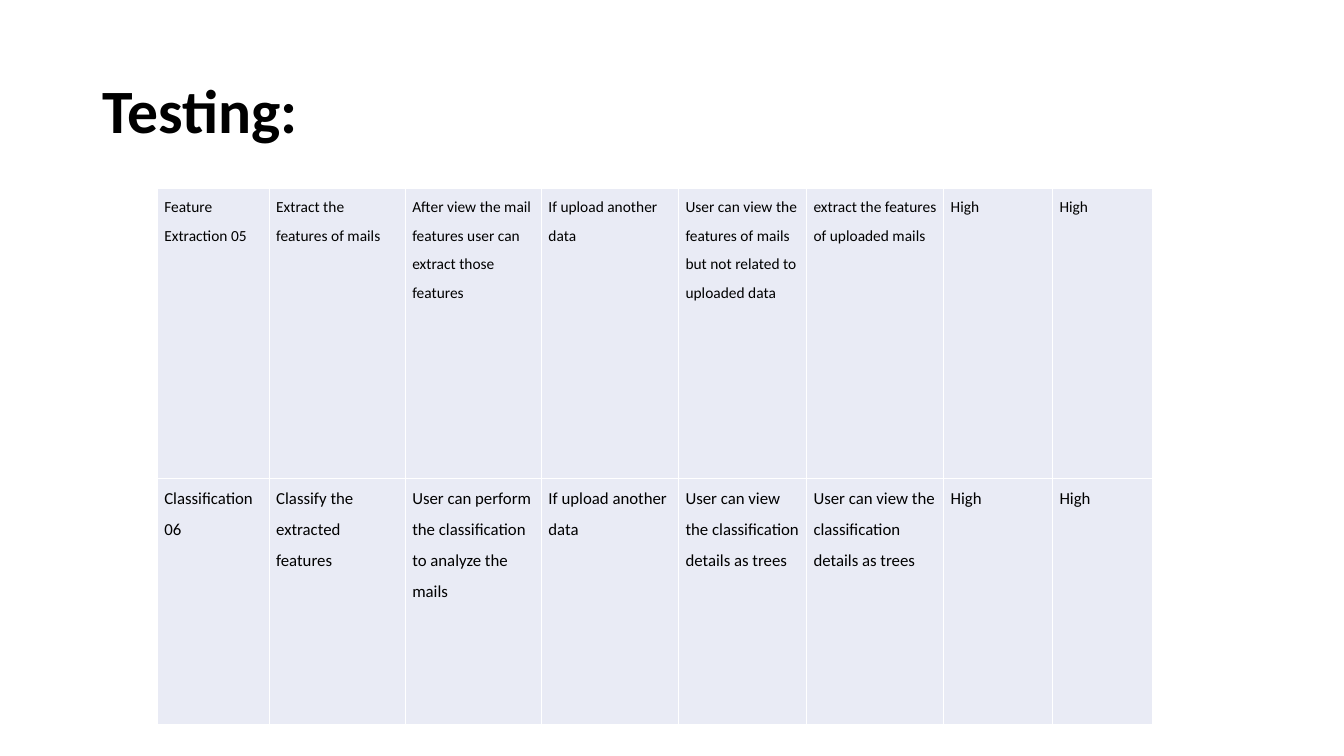
from lxml.etree import SubElement
from pptx import Presentation
from pptx.dml.color import RGBColor
from pptx.enum.text import MSO_ANCHOR
from pptx.oxml.ns import qn
from pptx.util import Inches, Pt

COLORS = {"text": "000000", "cell": "E9EBF5", "border": "FFFFFF"}
FONT = "Calibri"
COLUMN_WIDTHS = [1.11, 1.35, 1.35, 1.36, 1.27, 1.36, 1.08, 0.99]
ROW_HEIGHTS = [2.88, 2.44]
ROW_FONT_SIZES = [11, 12]
TEST_CASES = [
    ["Feature Extraction 05", "Extract the features of mails",
     "After view the mail features user can extract those features",
     "If upload another data",
     "User can view the features of mails but not related to uploaded data",
     "extract the features of uploaded mails", "High", "High"],
    ["Classification 06", "Classify the extracted features",
     "User can perform the classification to analyze the mails",
     "If upload another data",
     "User can view the classification details as trees",
     "User can view the classification details as trees", "High", "High"],
]


def format_text(frame, size, spacing, bold=False):
    """Apply the slide font and line spacing to a text frame."""
    for paragraph in frame.paragraphs:
        paragraph.line_spacing = spacing
        for span in paragraph.runs:
            span.font.name = FONT
            span.font.size = Pt(size)
            span.font.bold = bold
            span.font.color.rgb = RGBColor.from_string(COLORS["text"])


def add_borders(cell):
    """Draw a thin line on each side of a table cell."""
    properties = cell._tc.get_or_add_tcPr()
    for index, side in enumerate(["a:lnL", "a:lnR", "a:lnT", "a:lnB"]):
        line = properties.makeelement(qn(side), {"w": str(Pt(1))})
        fill = SubElement(line, qn("a:solidFill"))
        SubElement(fill, qn("a:srgbClr"), val=COLORS["border"])
        properties.insert(index, line)


def add_title(page, left, top, width, height):
    """Place the heading in the given box."""
    box = page.shapes.add_textbox(
        Inches(left), Inches(top), Inches(width), Inches(height))
    frame = box.text_frame
    frame.word_wrap = True
    frame.vertical_anchor = MSO_ANCHOR.MIDDLE
    frame.text = "Testing:"
    format_text(frame, 44, 0.9, bold=True)


def add_test_table(page, left, top, width, height):
    """Place the table of test cases in the given box."""
    table = page.shapes.add_table(
        len(TEST_CASES), len(COLUMN_WIDTHS),
        Inches(left), Inches(top), Inches(width), Inches(height)).table
    table.first_row = False
    table.horz_banding = False
    for column, share in zip(table.columns, COLUMN_WIDTHS):
        column.width = Inches(width * share / sum(COLUMN_WIDTHS))
    for row, share, size, texts in zip(
            table.rows, ROW_HEIGHTS, ROW_FONT_SIZES, TEST_CASES):
        row.height = Inches(height * share / sum(ROW_HEIGHTS))
        for cell, text in zip(row.cells, texts):
            cell.text_frame.text = text
            cell.margin_left = cell.margin_right = Inches(0.07)
            cell.margin_top = cell.margin_bottom = Inches(0)
            cell.fill.solid()
            cell.fill.fore_color.rgb = RGBColor.from_string(COLORS["cell"])
            add_borders(cell)
            format_text(cell.text_frame, size, 1.5)


def main():
    """Build and save the testing slide."""
    deck = Presentation()
    deck.slide_width = Inches(13.33)
    deck.slide_height = Inches(7.5)
    page = deck.slides.add_slide(deck.slide_layouts[6])
    add_title(page, 0.92, 0.4, 11.5, 1.45)
    add_test_table(page, 1.56, 1.87, 9.87, 5.32)
    deck.save("out.pptx")


main()
